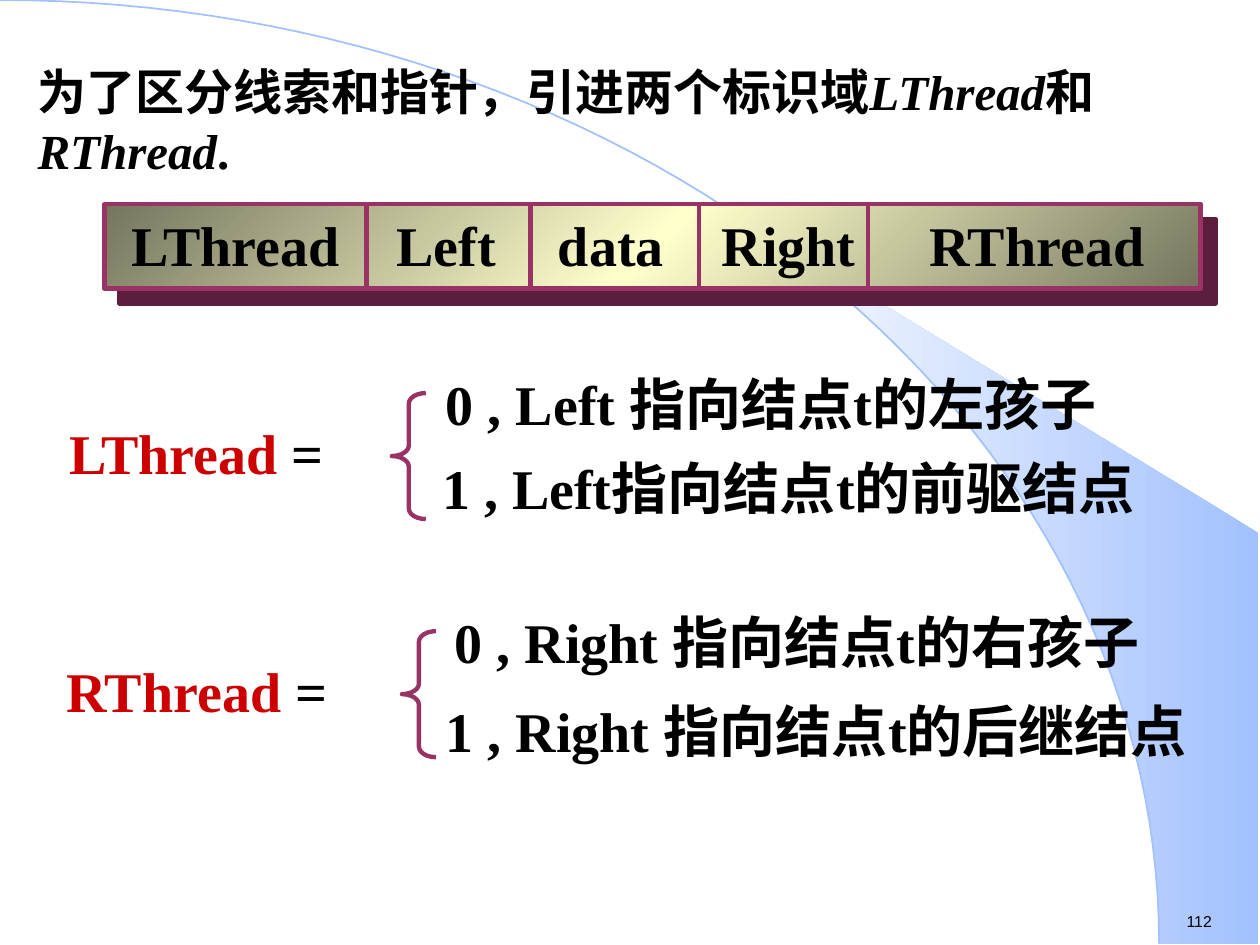
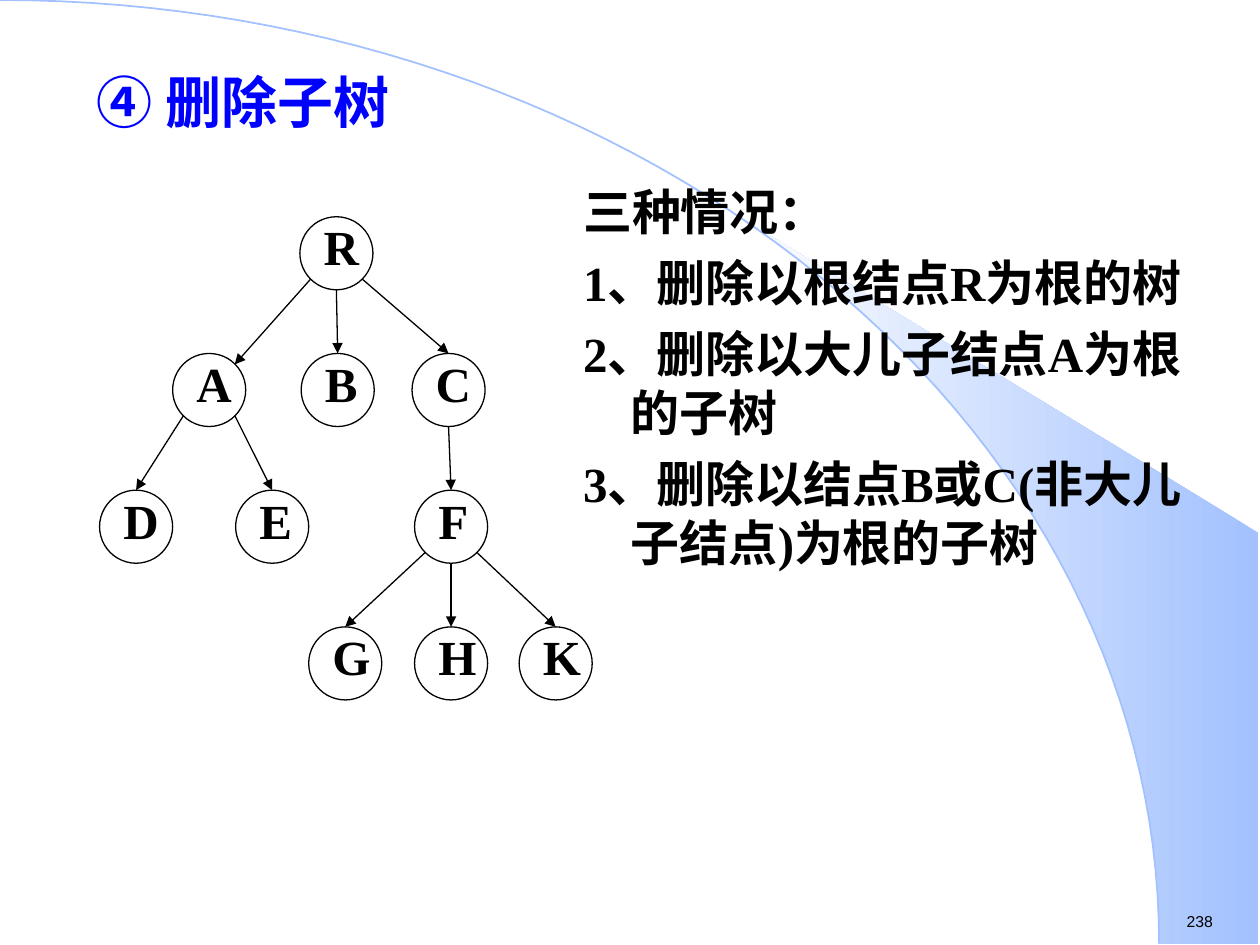
from copy import deepcopy
from math import asin, cos, pi, sin

from lxml.etree import SubElement
from pptx import Presentation
from pptx.dml.color import RGBColor
from pptx.enum.shapes import MSO_CONNECTOR as Link, MSO_SHAPE as Shape
from pptx.enum.text import MSO_ANCHOR as Anchor, PP_ALIGN as Align
from pptx.oxml.ns import qn
from pptx.util import Inches, Pt

# Shared colours and text formats
BLACK = RGBColor(0x00, 0x00, 0x00)
RED = RGBColor(0xCC, 0x00, 0x00)
BLUE = RGBColor(0x00, 0x00, 0xFF)
PLUM = RGBColor(0x99, 0x33, 0x66)
DARK_PLUM = RGBColor(0x5B, 0x1E, 0x3C)
SKY = RGBColor(0xA2, 0xC1, 0xFE)
PALE = RGBColor(0xFE, 0xFE, 0xFE)
OLIVE = RGBColor(0x75, 0x75, 0x5E)
CREAM = RGBColor(0xFF, 0xFF, 0xCC)

BODY = {"name": "Times New Roman", "size": Pt(28), "bold": True}
LARGE = {**BODY, "size": Pt(32)}
FOOTER = {"name": "Arial", "size": Pt(9)}

prs = Presentation()
prs.slide_width, prs.slide_height = Inches(10), Inches(7.5)
CELL = prs.slide_width / 100  # the grid has 100 columns and 75 rows


def grid(*cells):
    return [round(c * CELL) for c in cells]


def add_text(slide, box, paragraphs, fmt, color=BLACK, align=Align.LEFT,
             anchor=Anchor.TOP, hanging=0, gap=0):
    """Each paragraph is a list of (text, format changes) runs."""
    frame = slide.shapes.add_textbox(*grid(*box)).text_frame
    frame.word_wrap, frame.vertical_anchor = True, anchor
    for number, runs in enumerate(paragraphs):
        para = frame.add_paragraph() if number else frame.paragraphs[0]
        para.alignment = align
        if number:
            para.space_before = Pt(gap)
        if hanging:
            indent = grid(hanging)[0]
            para._p.get_or_add_pPr().set("marL", str(indent))
            para._p.get_or_add_pPr().set("indent", str(-indent))
        for text, changes in runs:
            run = para.add_run()
            run.text = text
            values = {**fmt, **changes}
            run.font.color.rgb = values.pop("color", color)
            for key, value in values.items():
                setattr(run.font, key, value)


# Slides with the shared curve, wedge and page number
RADIUS_X, RADIUS_Y = 92, 74.9
WEDGE_TIP = asin(58.9 / RADIUS_X)
STEPS = 60
slides = []
for page in ("112", "238"):
    slide = prs.slides.add_slide(prs.slide_layouts[6])
    slides.append(slide)
    outlines = []
    for first, last, corners in ((pi / 2, WEDGE_TIP, [(99.9, 42.3), (99.9, 74.9)]),
                                 (0, pi / 2, [])):
        angles = [first + (last - first) * i / STEPS for i in range(STEPS + 1)]
        points = [(RADIUS_X * sin(a), RADIUS_Y * (1 - cos(a))) for a in angles]
        points = [grid(*point) for point in points + corners]
        builder = slide.shapes.build_freeform(*points[0])
        builder.add_line_segments(points[1:], close=bool(corners))
        outlines.append(builder.convert_to_shape())
        outlines[-1].shadow.inherit = False
    wedge, curve = outlines
    wedge.line.fill.background()
    wedge.fill.gradient()
    wedge.fill.gradient_angle = 180
    for stop, color, position in zip(wedge.fill.gradient_stops, (SKY, PALE), (0, 1)):
        stop.color.rgb, stop.position = color, position
    curve.fill.background()
    curve.line.color.rgb, curve.line.width = SKY, Pt(1)
    add_text(slide, (93.2, 71.9, 6, 2.5), [[(page, {})]], FOOTER)

thread_slide, tree_slide = slides

# Thread slide: introduction
italic = {"italic": True}
add_text(thread_slide, (2, 4.4, 96.9, 11),
         [[("为了区分线索和指针，引进两个标识域", {}), ("LThread", italic),
           ("和", {}), ("RThread", italic), (".", {})]], BODY)

# Node record: gradient bar with a hard shadow
BAR_TOP, BAR_HEIGHT = 16.2, 6.7
bar = thread_slide.shapes.add_shape(Shape.RECTANGLE, *grid(8.3, BAR_TOP, 87, BAR_HEIGHT))
bar.line.color.rgb, bar.line.width = PLUM, Pt(2.5)
bar.fill.gradient()
bar.fill.gradient_angle = 315
stop_list = bar._element.spPr.find(".//" + qn("a:gsLst"))
stop_list.insert(1, deepcopy(stop_list[0]))
for stop, color, position in zip(bar.fill.gradient_stops, (OLIVE, CREAM, OLIVE), (0, 0.5, 1)):
    stop.color.rgb, stop.position = color, position
bar.shadow.inherit = False
shadow = SubElement(bar._element.spPr.find(qn("a:effectLst")), qn("a:outerShdw"),
                    dist=str(Pt(12.1)), dir="2700000", algn="tl", rotWithShape="0")
SubElement(shadow, qn("a:srgbClr"), val=str(DARK_PLUM))

# Field dividers and field names
for x in (29.1, 42.1, 55.5, 68.9):
    divider = thread_slide.shapes.add_connector(
        Link.STRAIGHT, *grid(x, BAR_TOP, x, BAR_TOP + BAR_HEIGHT))
    divider.line.color.rgb, divider.line.width = PLUM, Pt(2.5)
    SubElement(divider._element.spPr, qn("a:effectLst"))
for field, x, width, align in (("LThread", 7.3, 22.8, Align.CENTER),
                               ("Left", 30.5, 12.4, Align.LEFT),
                               ("data", 43.3, 11, Align.LEFT),
                               ("Right", 55.9, 13.4, Align.CENTER),
                               ("RThread", 69.5, 25.6, Align.CENTER)):
    add_text(thread_slide, (x, BAR_TOP, width, 6.4), [[(field, {})]], LARGE, align=align)

# Definitions: flag name, brace and its two cases
for flag, flag_x, top, brace_x, cases in (
        ("LThread", 4.5, 31.2, 31.1, (("0 , Left 指向结点t的左孩子", 34.4, -2.4),
                                      ("1 , Left指向结点t的前驱结点", 34.1, 4.3))),
        ("RThread", 4.3, 50.1, 31.9, (("0 , Right 指向结点t的右孩子", 35.1, -2.4),
                                      ("1 , Right 指向结点t的后继结点", 34.4, 4.7)))):
    add_text(thread_slide, (flag_x, top + 1.5, 26, 6.4),
             [[(flag + " ", {"color": RED}), ("=", {})]], LARGE)
    brace = thread_slide.shapes.add_shape(Shape.LEFT_BRACE, *grid(brace_x, top, 2.7, 10))
    brace.adjustments[0] = 0.31
    brace.shadow.inherit = False
    brace.fill.background()
    brace.line.color.rgb, brace.line.width = PLUM, Pt(2.5)
    for case, x, drop in cases:
        add_text(thread_slide, (x, top + drop, 100 - x, 6.4), [[(case, {})]], LARGE)

# Tree slide: nodes
NODE = 5.8
ROWS = [17.2 + 10.85 * level for level in range(4)]
nodes = {"R": (23.8, ROWS[0]),
         "A": (13.7, ROWS[1]), "B": (23.9, ROWS[1]), "C": (32.7, ROWS[1]),
         "D": (7.9, ROWS[2]), "E": (18.7, ROWS[2]), "F": (32.9, ROWS[2]),
         "G": (24.5, ROWS[3]), "H": (32.9, ROWS[3]), "K": (41.2, ROWS[3])}
for letter, (x, y) in nodes.items():
    circle = tree_slide.shapes.add_shape(Shape.OVAL, *grid(x, y, NODE, NODE))
    circle.shadow.inherit = False
    circle.fill.background()
    circle.line.color.rgb, circle.line.width = BLACK, Pt(0.75)
    add_text(tree_slide, (x + 0.9, y - 0.5, NODE, 5.7), [[(letter, {})]], BODY)

# Tree slide: arrows between points on the circles, as shares of a node
SITES = {"top": (0.5, 0), "bottom": (0.5, 1), "top right": (0.85, 0.15),
         "bottom left": (0.15, 0.85), "bottom right": (0.85, 0.85)}
for parent, child, start, end in (
        ("R", "A", "bottom left", "top right"), ("R", "B", "bottom", "top"),
        ("R", "C", "bottom right", "top"), ("A", "D", "bottom left", "top"),
        ("A", "E", "bottom right", "top"), ("C", "F", "bottom", "top"),
        ("F", "G", "bottom left", "top"), ("F", "H", "bottom", "top"),
        ("F", "K", "bottom right", "top")):
    ends = [at + NODE * share for node, site in ((parent, start), (child, end))
            for at, share in zip(nodes[node], SITES[site])]
    branch = tree_slide.shapes.add_connector(Link.STRAIGHT, *grid(*ends))
    branch.line.color.rgb, branch.line.width = BLACK, Pt(0.75)
    SubElement(branch._element.spPr.find(qn("a:ln")), qn("a:tailEnd"), type="triangle")
    SubElement(branch._element.spPr, qn("a:effectLst"))

# Tree slide: title and the three cases
add_text(tree_slide, (6.7, 4.8, 36.2, 6.5), [[("④ 删除子树", {})]], LARGE,
         color=BLUE, anchor=Anchor.MIDDLE)
add_text(tree_slide, (45.3, 13.9, 52.4, 35.4),
         [[(line, {})] for line in ("三种情况：",
                                    "1、删除以根结点R为根的树",
                                    "2、删除以大儿子结点A为根的子树",
                                    "3、删除以结点B或C(非大儿子结点)为根的子树")],
         BODY, hanging=3.8, gap=7)

prs.save("out.pptx")
